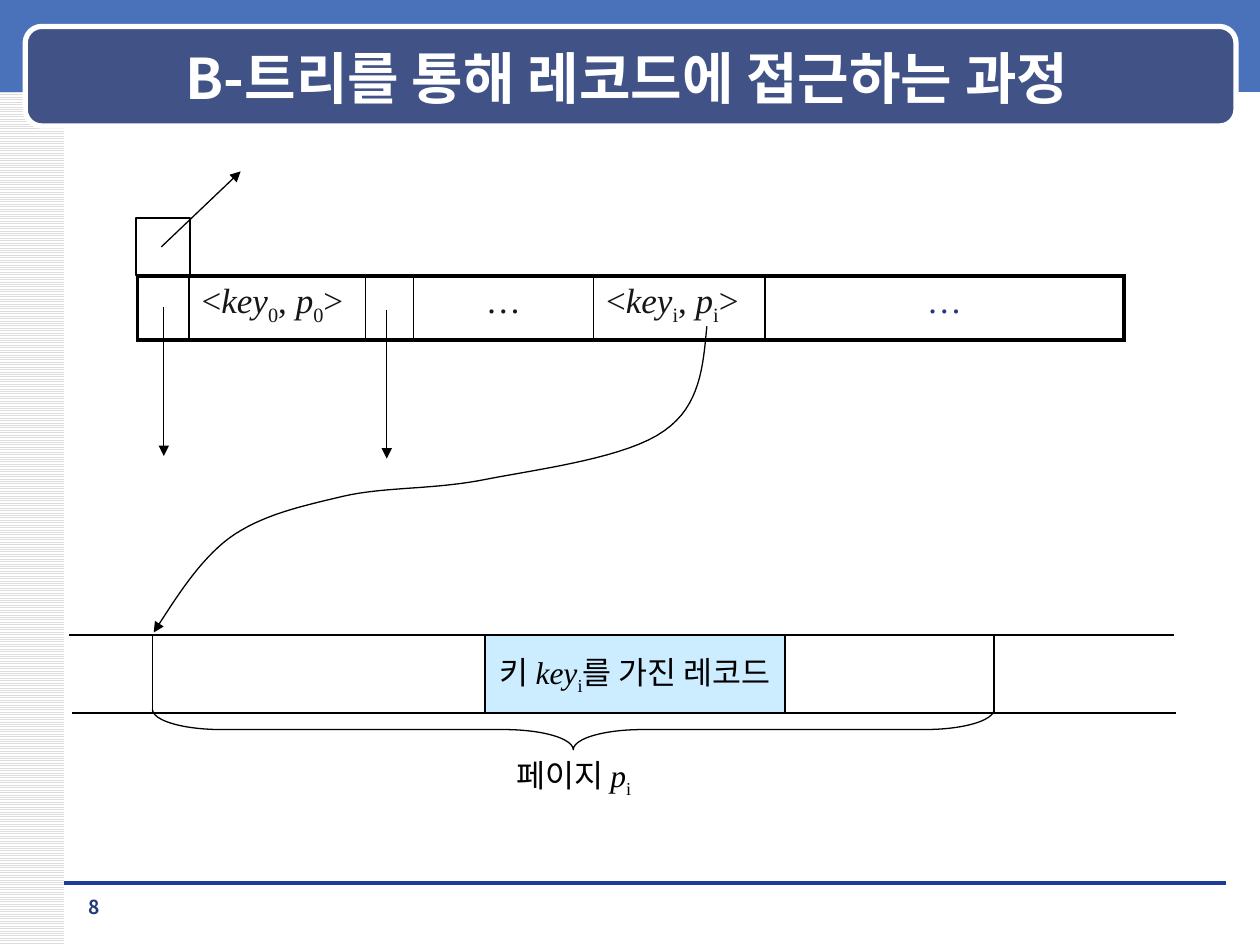
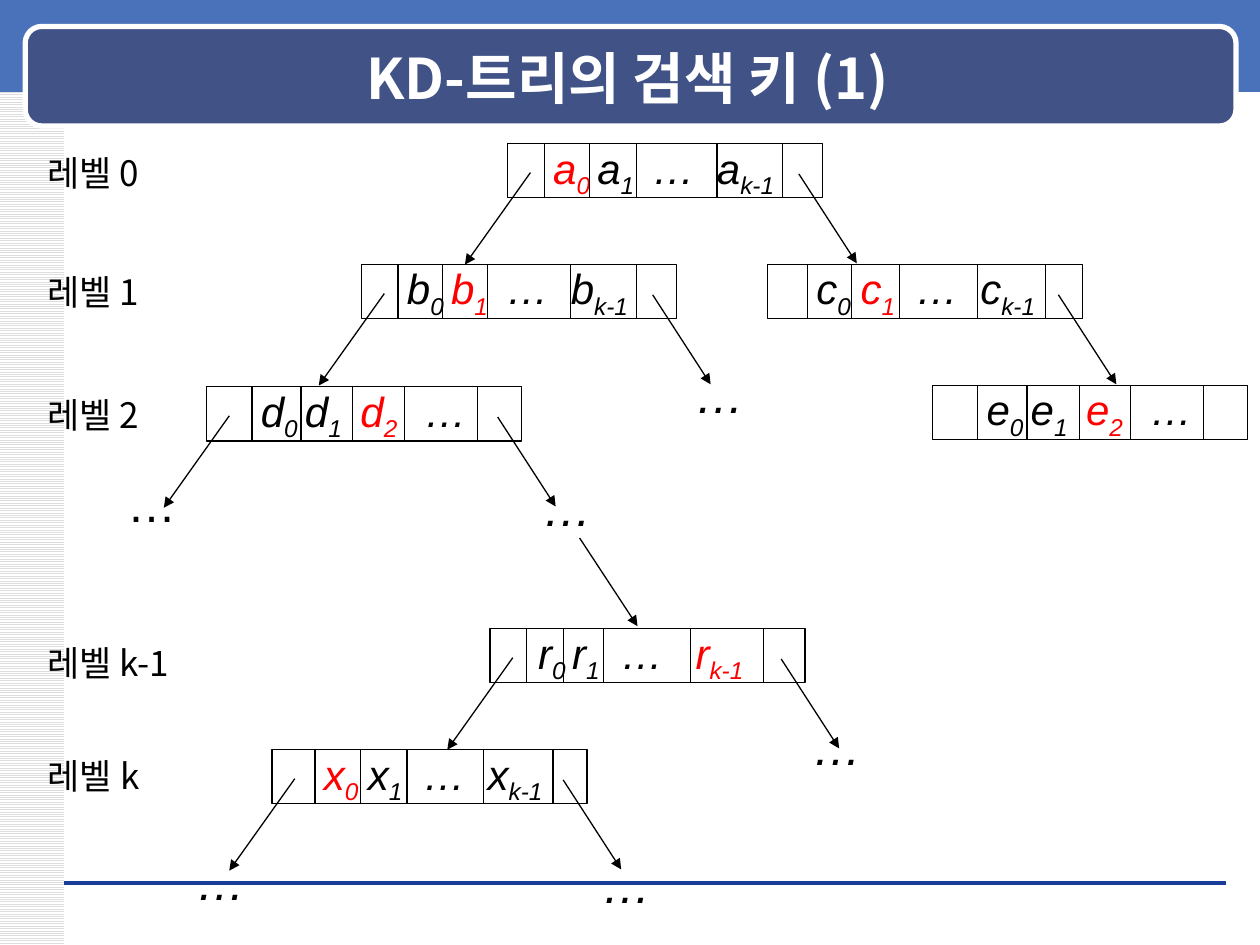
import pptx
import pptx.chart.data
import pptx.dml.color
import pptx.enum.dml
import pptx.enum.shapes
import pptx.enum.text
import pptx.oxml.ns
import pptx.util
from lxml import etree

COLORS = {
    "white": "FFFFFF", "black": "000000", "ink": "161616", "red": "FF0000",
    "sky": "4972BB", "banner": "405286", "navy": "23387D", "rule": "1A3D97",
    "stripe": "DDDDDD", "record": "CCECFF",
}
SANS, SERIF, ARIAL = "Noto Sans CJK KR", "Times New Roman", "Arial"
COLS, ROWS = 100, 75  # grid over a 10 x 7.5 inch slide
SHAPE = pptx.enum.shapes.MSO_SHAPE
ALIGN = pptx.enum.text.PP_ALIGN
MIDDLE = pptx.enum.text.MSO_ANCHOR.MIDDLE
qn = pptx.oxml.ns.qn


def rgb(name):
    return pptx.dml.color.RGBColor.from_string(COLORS[name])


def write(p, text, size=18, font=SANS, color="black", bold=False, italic=False, sub=False):
    """Add one formatted run to a paragraph."""
    r = p.add_run()
    r.text = text
    f = r.font
    f.size, f.name, f.bold, f.italic = pptx.util.Pt(size), font, bold, italic
    f.color.rgb = rgb(color)
    rPr = r._r.get_or_add_rPr()
    etree.SubElement(rPr, qn("a:ea")).set("typeface", font)
    if sub:
        rPr.set("baseline", "-25000")


def write_runs(p, runs, **fmt):
    """Add (text, changes) runs that share a base format."""
    for text, changes in runs:
        write(p, text, **{**fmt, **changes})


VAR = {"font": SERIF, "italic": True}
SUB = {"font": SERIF, "sub": True}


def key_pair(index):
    return [("<", {}), ("key", VAR), (index, SUB), (", ", {}),
            ("p", VAR), (index, SUB), (">", {})]


class Deck:
    def __init__(self):
        self.prs = pptx.Presentation()
        self.prs.slide_width = pptx.util.Inches(10)
        self.prs.slide_height = pptx.util.Inches(7.5)
        self.s = None

    def x(self, cols):
        return round(self.prs.slide_width * cols / COLS)

    def y(self, rows):
        return round(self.prs.slide_height * rows / ROWS)

    def box(self, x, y, w, h):
        return self.x(x), self.y(y), self.x(w), self.y(h)

    def outline(self, shape, color="black", width=0.75, arrow=False):
        shape.line.color.rgb = rgb(color)
        shape.line.width = pptx.util.Pt(width)
        if arrow:
            tail = etree.SubElement(shape.line._get_or_add_ln(), qn("a:tailEnd"))
            tail.set("type", "triangle")

    def shape(self, x, y, w, h, kind=SHAPE.RECTANGLE, fill=None, line="black", width=0.75):
        sp = self.s.shapes.add_shape(kind, *self.box(x, y, w, h))
        sp.shadow.inherit = False
        if fill:
            sp.fill.solid()
            sp.fill.fore_color.rgb = rgb(fill)
        else:
            sp.fill.background()
        if line:
            self.outline(sp, line, width)
        else:
            sp.line.fill.background()
        return sp

    def line(self, x1, y1, x2, y2, **style):
        c = self.s.shapes.add_connector(
            pptx.enum.shapes.MSO_CONNECTOR.STRAIGHT,
            self.x(x1), self.y(y1), self.x(x2), self.y(y2))
        self.outline(c, **style)
        etree.SubElement(c._element.spPr, qn("a:effectLst"))

    def arrow(self, x, y, dx, dy):
        self.line(x, y, x + dx, y + dy, arrow=True)

    def text(self, x, y, w, h, runs, align=ALIGN.LEFT, anchor=None, wrap=True, **fmt):
        sp = self.s.shapes.add_textbox(*self.box(x, y, w, h))
        self.fill_text(sp, runs, align, anchor, wrap, **fmt)

    def fill_text(self, sp, runs, align=ALIGN.CENTER, anchor=MIDDLE, wrap=False, **fmt):
        tf = sp.text_frame
        tf.word_wrap = wrap
        if anchor is not None:
            tf.vertical_anchor = anchor
        p = tf.paragraphs[0]
        p.alignment = align
        write_runs(p, [(runs, {})] if isinstance(runs, str) else runs, **fmt)

    def curve(self, start, segments, steps=16):
        """Draw an arrow along cubic segments (control, control, end)."""
        points, p0 = [], start
        for p1, p2, p3 in segments:
            for t in (n / steps for n in range(1, steps + 1)):
                weights = (1 - t) ** 3, 3 * t * (1 - t) ** 2, 3 * t * t * (1 - t), t ** 3
                px, py = (sum(k * p[axis] for k, p in zip(weights, (p0, p1, p2, p3)))
                          for axis in (0, 1))
                points.append((self.x(px), self.y(py)))
            p0 = p3
        fb = self.s.shapes.build_freeform(self.x(start[0]), self.y(start[1]))
        fb.add_line_segments(points, close=False)
        sp = fb.convert_to_shape()
        sp.shadow.inherit = False
        sp.fill.background()
        self.outline(sp, arrow=True)

    def table_row(self, x, y, h, widths, cells, outer=2.25, inner=1):
        """Add a one-row table; cells maps a column to (runs, align, color)."""
        tbl = self.s.shapes.add_table(1, len(widths), *self.box(x, y, sum(widths), h)).table
        tbl.first_row = tbl.horz_banding = False
        tbl.rows[0].height = self.y(h)
        last = len(widths) - 1
        for i, width in enumerate(widths):
            tbl.columns[i].width = self.x(width)
            cell = tbl.cell(0, i)
            cell.fill.background()
            borders = {"L": inner if i else outer, "R": inner if i < last else outer,
                       "T": outer, "B": outer}
            tcPr = cell._tc.get_or_add_tcPr()
            for n, (side, weight) in enumerate(borders.items()):
                ln = etree.Element(qn("a:ln" + side), w=str(pptx.util.Pt(weight)))
                fill = etree.SubElement(ln, qn("a:solidFill"))
                etree.SubElement(fill, qn("a:srgbClr")).set("val", COLORS["black"])
                tcPr.insert(n, ln)
            if i in cells:
                runs, align, color = cells[i]
                p = cell.text_frame.paragraphs[0]
                p.alignment = align
                write_runs(p, runs, size=20, font=SERIF, color=color)

    def node(self, x, y, keys, red, inset, inner, dividers, stops=(0.7, 4.2, 8.6, 13.7)):
        """Draw a tree node: outer box, key box, dividers and tabbed keys."""
        h = 4.3
        self.shape(x, y, 25, h)
        sp = self.shape(x + inset, y, inner, h)
        runs = []
        for i, key in enumerate(keys.split()):
            color = {"color": "red" if i == red else "black"}
            runs.append(("\t" + key[0] if i else key[0], color))
            if key[1:]:
                runs.append((key[1:], {**color, "sub": True}))
        tf = sp.text_frame
        tf.margin_left = self.x(stops[0])
        tf.margin_right = tf.margin_top = tf.margin_bottom = 0
        pPr = tf.paragraphs[0]._p.get_or_add_pPr()
        tabs = etree.SubElement(pPr, qn("a:tabLst"))
        for stop in stops[1:]:
            tab = etree.SubElement(tabs, qn("a:tab"))
            tab.set("pos", str(self.x(stop - stops[0])))
            tab.set("algn", "l")
        self.fill_text(sp, runs, ALIGN.LEFT, wrap=True, size=24, font=ARIAL, italic=True)
        for d in dividers:
            self.line(x + d, y, x + d, y + h)

    def new_slide(self, title, number=None):
        self.s = self.prs.slides.add_slide(self.prs.slide_layouts[6])
        # Striped margin, top band, footer rule and title banner
        margin = self.shape(0, 0, 5.1, ROWS, line=None)
        margin.fill.patterned()
        margin.fill.pattern = pptx.enum.dml.MSO_PATTERN.LIGHT_HORIZONTAL
        margin.fill.fore_color.rgb = rgb("stripe")
        margin.fill.back_color.rgb = rgb("white")
        self.shape(0, -0.3, COLS, 7.6, fill="sky", line=None)
        self.line(5.1, 70.1, 97.3, 70.1, color="rule", width=0)
        self.shape(2, 2.1, 96.1, 7.9, SHAPE.ROUNDED_RECTANGLE, "banner", "white", 3)
        self.text(7.1, 3, 85.4, 6.2, title, ALIGN.CENTER, MIDDLE,
                  size=32, color="white", bold=True)
        if number:
            self.text(5.1, 70.6, 4.7, 2.7, number, ALIGN.CENTER,
                      size=11, color="navy", bold=True)


def record_access(d):
    d.new_slide("B-트리를 통해 레코드에 접근하는 과정", "8")

    # Index node with its pointers
    dots = [("…", {})]
    d.table_row(10.9, 21.9, 5.1, (4.1, 14, 3.8, 14.3, 13.6, 28.5), {
        1: (key_pair("0"), ALIGN.LEFT, "ink"),
        3: (dots, ALIGN.CENTER, "ink"),
        4: (key_pair("i"), ALIGN.LEFT, "ink"),
        5: (dots, ALIGN.CENTER, "navy"),
    })
    d.arrow(30.7, 24.6, 0, 11.8)
    d.arrow(13, 24.4, 0, 11.8)
    d.shape(10.8, 17.3, 4.3, 4.6)
    d.arrow(12.8, 19.6, 6.3, -6)

    # Data page and the record in it
    d.line(5.5, 50.4, 93.2, 50.4)
    d.line(5.7, 56.6, 93.3, 56.6)
    d.shape(12.1, 50.4, 66.8, 6.2)
    d.text(40, 59.5, 12.3, 4, [("페이지 ", {}), ("p", VAR), ("i", SUB)])
    record = d.shape(38.5, 50.4, 23.8, 6.2, fill="record")
    d.fill_text(record, [("키 ", {}), ("key", VAR), ("i", SUB), ("를 가진 레코드", {})])

    # Pointer from the key to the page, and the page brace
    d.curve((56.1, 25.9), [
        ((55.8, 29), (55.6, 32.2), (52.7, 34.2)),
        ((49.8, 36.3), (43, 37.2), (38.8, 38)),
        ((34.5, 38.9), (30.6, 38.6), (27.2, 39.4)),
        ((23.8, 40.2), (20.7, 40.9), (18.2, 42.7)),
        ((15.8, 44.5), (14, 47.4), (12.2, 50.2)),
    ])
    brace = d.shape(43.9, 24.5, 3.2, 66.8, SHAPE.LEFT_BRACE)
    brace.rotation = 270
    brace.adjustments[0] = 1.71


def kd_tree(d):
    d.new_slide("KD-트리의 검색 키 (1)")

    # Nodes: x, y, keys, red key, key box inset and width, dividers
    nodes = {
        "a": (40.3, 11.4, "a0 a1 … ak-1", 0, 2.9, 18.9, (6.5, 10.2, 16.6)),
        "b": (28.7, 21, "b0 b1 … bk-1", 1, 2.9, 18.9, (6.4, 10, 16.6)),
        "c": (60.9, 21, "c0 c1 … ck-1", 1, 3.2, 18.9, (6.7, 10.5, 16.7)),
        "d": (16.4, 30.7, "d0 d1 d2 …", 2, 3.6, 17.9, (7.5, 11.6, 15.7)),
        "e": (74, 30.6, "e0 e1 e2 …", 2, 3.6, 17.9, (7.5, 11.7, 15.7)),
        "r": (38.9, 49.9, "r0 r1 … rk-1", 3, 2.9, 18.8, (5.8, 9, 15.9),
              (0.9, 3.6, 7.5, 13.4)),
        "x": (21.6, 59.5, "x0 x1 … xk-1", 0, 3.4, 18.9, (7, 10.7, 16.8)),
    }
    for node in nodes.values():
        d.node(*node)

    # Child pointers leave from the first and last cells
    for name in "abdrx":
        x, y = nodes[name][:2]
        d.arrow(x + 1.8, y + 2.3, -5.2, 7.3)
    for name in "abcdrx":
        x, y = nodes[name][:2]
        d.arrow(x + 23.1, y + 2.4, 4.6, 7.1)
    d.arrow(46, 42.7, 4.6, 7)

    # Omitted subtrees
    for x, y, italic in ((42.1, 37.4, True), (9.1, 37.1, False), (54.2, 28.4, True),
                         (63.5, 56.4, True), (46.8, 67.3, True), (14.6, 67.1, True)):
        d.text(x, y, 5.9, 5.7, "…", wrap=False, size=28, font=ARIAL, italic=italic)

    # Level labels
    for level, y, w in (("0", 11.5, 12), ("1", 21, 12), ("2", 30.7, 12),
                        ("k-1", 50.4, 14), ("k", 59.4, 9.5)):
        d.text(2.8, y, w, 4.4, f"레벨 {level}", size=20)


def main():
    d = Deck()
    record_access(d)
    kd_tree(d)
    d.prs.save("out.pptx")


if __name__ == "__main__":
    main()
